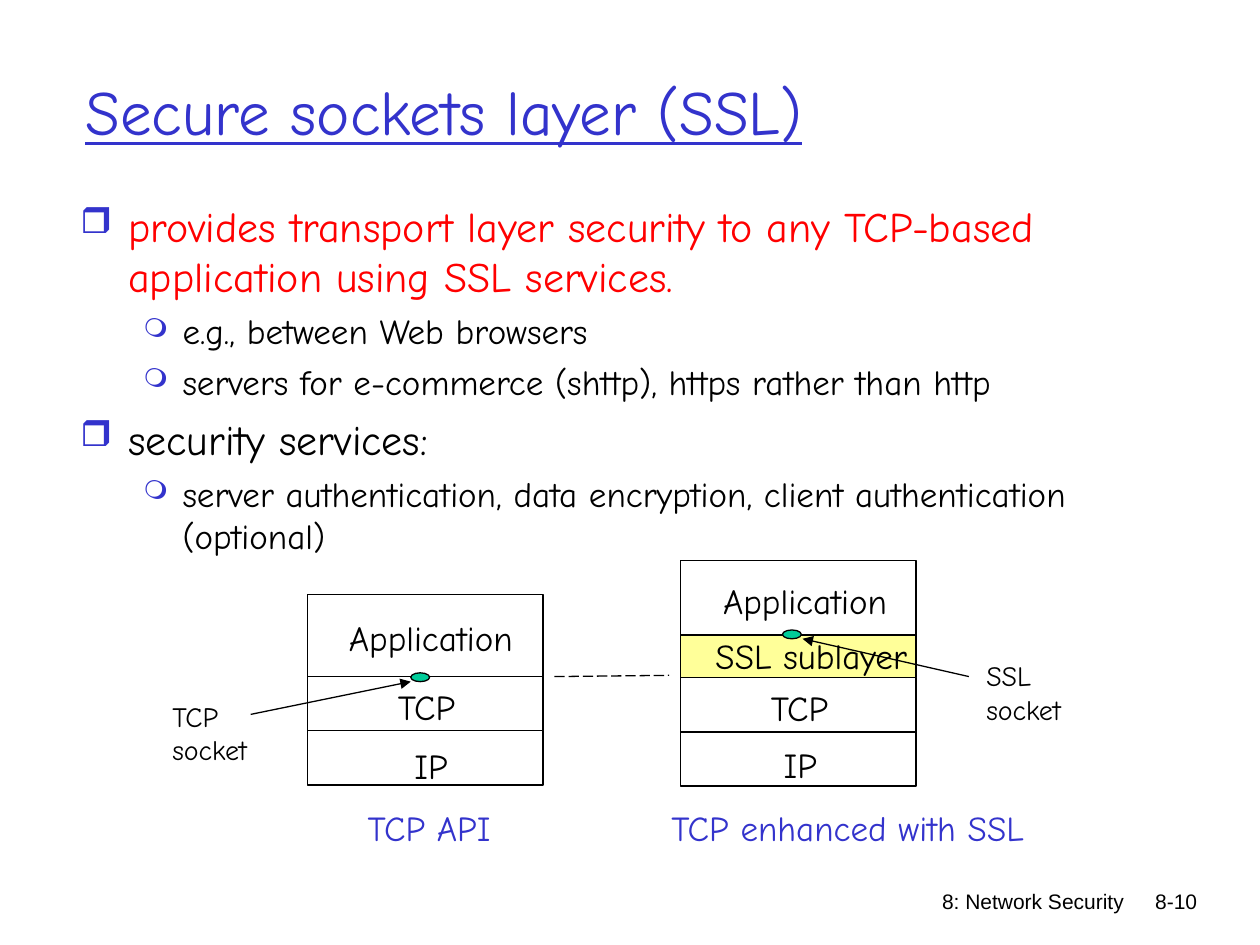
from dataclasses import dataclass
from typing import Any

from lxml import etree
from pptx import Presentation
from pptx.dml.color import RGBColor
from pptx.enum.dml import MSO_LINE
from pptx.enum.shapes import MSO_CONNECTOR as CONN, MSO_SHAPE as SHAPE
from pptx.enum.text import MSO_ANCHOR as ANCHOR, MSO_AUTO_SIZE as FIT, PP_ALIGN as ALIGN
from pptx.oxml.ns import qn
from pptx.util import Inches, Pt

COLORS = {"black": "000000", "blue": "3333CC", "red": "FF0000",
          "yellow": "FFFF99", "green": "00CC99"}
UNIT = 0.1  # one grid cell in inches: the slide is 100 columns by 75 rows


def cells(*values):
    return [Inches(v * UNIT) for v in values]


def rgb(name):
    return RGBColor.from_string(COLORS[name])


@dataclass
class SlideBuilder:
    slide: Any
    font: str = "Comic Neue"
    line_width: float = 0.75

    def style(self, p, size, color, font=None, underline=None):
        for r in p.runs:
            r.font.name = font or self.font
            r.font.size = Pt(size)
            r.font.color.rgb = rgb(color)
            r.font.underline = underline

    def text(self, box, text, size=20, color="black", wrap=False,
             anchor=ANCHOR.TOP, align=ALIGN.LEFT, **style):
        tf = self.slide.shapes.add_textbox(*cells(*box)).text_frame
        tf.word_wrap = wrap
        tf.auto_size = FIT.NONE if wrap else FIT.SHAPE_TO_FIT_TEXT
        tf.vertical_anchor = anchor
        tf.text = text
        for p in tf.paragraphs:
            p.alignment = align
            self.style(p, size, color, **style)

    def bullets(self, box, items):
        levels = [dict(left=0.38, hang=0.38, char="❒", scale=85, size=24, gap=6),
                  dict(left=0.81, hang=0.31, char="❍", scale=75, size=20, gap=5)]
        tf = self.slide.shapes.add_textbox(*cells(*box)).text_frame
        tf.word_wrap = True
        for i, (level, color, text) in enumerate(items):
            lv = levels[level]
            p = tf.paragraphs[0] if i == 0 else tf.add_paragraph()
            p.text = text
            p.level = level
            if i:
                p.space_before = Pt(lv["gap"])
            pPr = p._p.get_or_add_pPr()
            pPr.set("marL", str(Inches(lv["left"])))
            pPr.set("indent", str(-Inches(lv["hang"])))
            bu_clr = etree.SubElement(pPr, qn("a:buClr"))
            etree.SubElement(bu_clr, qn("a:srgbClr"), val=COLORS["blue"])
            etree.SubElement(pPr, qn("a:buSzPct"), val=str(lv["scale"] * 1000))
            etree.SubElement(pPr, qn("a:buChar"), char=lv["char"])
            self.style(p, lv["size"], color)

    def shape(self, kind, box, fill=None):
        sp = self.slide.shapes.add_shape(kind, *cells(*box))
        sp.shadow.inherit = False
        if fill:
            sp.fill.solid()
            sp.fill.fore_color.rgb = rgb(fill)
        else:
            sp.fill.background()
        sp.line.color.rgb = rgb("black")
        sp.line.width = Pt(self.line_width)

    def line(self, start, end, arrow=False, dash=None):
        cx = self.slide.shapes.add_connector(CONN.STRAIGHT, *cells(*start, *end))
        cx.line.color.rgb = rgb("black")
        cx.line.width = Pt(self.line_width)
        if dash:
            cx.line.dash_style = dash
        if arrow:
            etree.SubElement(cx.line._get_or_add_ln(), qn("a:tailEnd"), type="triangle")
        etree.SubElement(cx._element.spPr, qn("a:effectLst"))

    def stack(self, left, top, layers, width=18.7):
        """Stack layers downwards: (height, fill, label, label box offset and width)."""
        for height, fill, label, dx, dy, label_width in layers:
            self.shape(SHAPE.RECTANGLE, (left, top, width, height), fill)
            self.text((left + dx, top + dy, label_width, 4.4), label)
            top += height

    def socket(self, left, top):
        self.shape(SHAPE.OVAL, (left, top, 1.5, 0.7), "green")


def main():
    prs = Presentation()
    prs.slide_width, prs.slide_height = cells(100, 75)
    s = SlideBuilder(prs.slides.add_slide(prs.slide_layouts[6]))

    # Footer
    for box, text in (((58.5, 70, 31.7, 5), "8: Network Security"),
                      ((88, 70, 8, 3.2), "8-10")):
        s.text(box, text, 12, wrap=True, align=ALIGN.RIGHT, font="Arial")

    # Title and bullets
    s.text((5.8, 2.5, 85, 12.5), "Secure sockets layer (SSL)", 36, "blue",
           wrap=True, anchor=ANCHOR.MIDDLE, underline=True)
    s.bullets((5.4, 15.4, 92.2, 50.8), [
        (0, "red", "provides transport layer security to any TCP-based "
                   "application using SSL services."),
        (1, "black", "e.g., between Web browsers"),
        (1, "black", "servers for e-commerce (shttp), https rather than http"),
        (0, "black", "security services:"),
        (1, "black", "server authentication, data encryption, "
                     "client authentication (optional)"),
    ])

    # Protocol stacks
    tcp = (4.3, None, "TCP", 6.2, 0.2, 6.7)
    s.stack(24.4, 47.2, [(6.5, None, "Application", 2.3, 1.2, 15), tcp,
                         (4.3, None, "IP", 7.5, 0.6, 4.8)])
    s.stack(54, 44.5, [(5.9, None, "Application", 2.4, 1, 15),
                       (3.4, "yellow", "SSL sublayer", 1.8, -0.5, 17.2), tcp,
                       (4.3, None, "IP", 7.2, 0.4, 4.8)])
    s.text((28.2, 63.5, 11.9, 4.4), "TCP API", color="blue")
    s.text((52.3, 63.5, 30.1, 4.4), "TCP enhanced with SSL", color="blue")

    # Sockets with their pointers
    s.socket(32.6, 53.4)
    s.line((19.9, 56.7), (32.6, 54.1), arrow=True)
    s.text((12.7, 55, 11.4, 6.4), "TCP\nsocket", 16, wrap=True)
    s.socket(62.1, 50)
    s.line((76.9, 53.7), (63.7, 50.7), arrow=True)
    s.text((77.3, 51.8, 8, 6.4), "SSL\nsocket", 16)

    # Link between the stacks
    s.line((44, 53.7), (53.1, 53.6), dash=MSO_LINE.LONG_DASH)

    prs.save("out.pptx")


if __name__ == "__main__":
    main()
